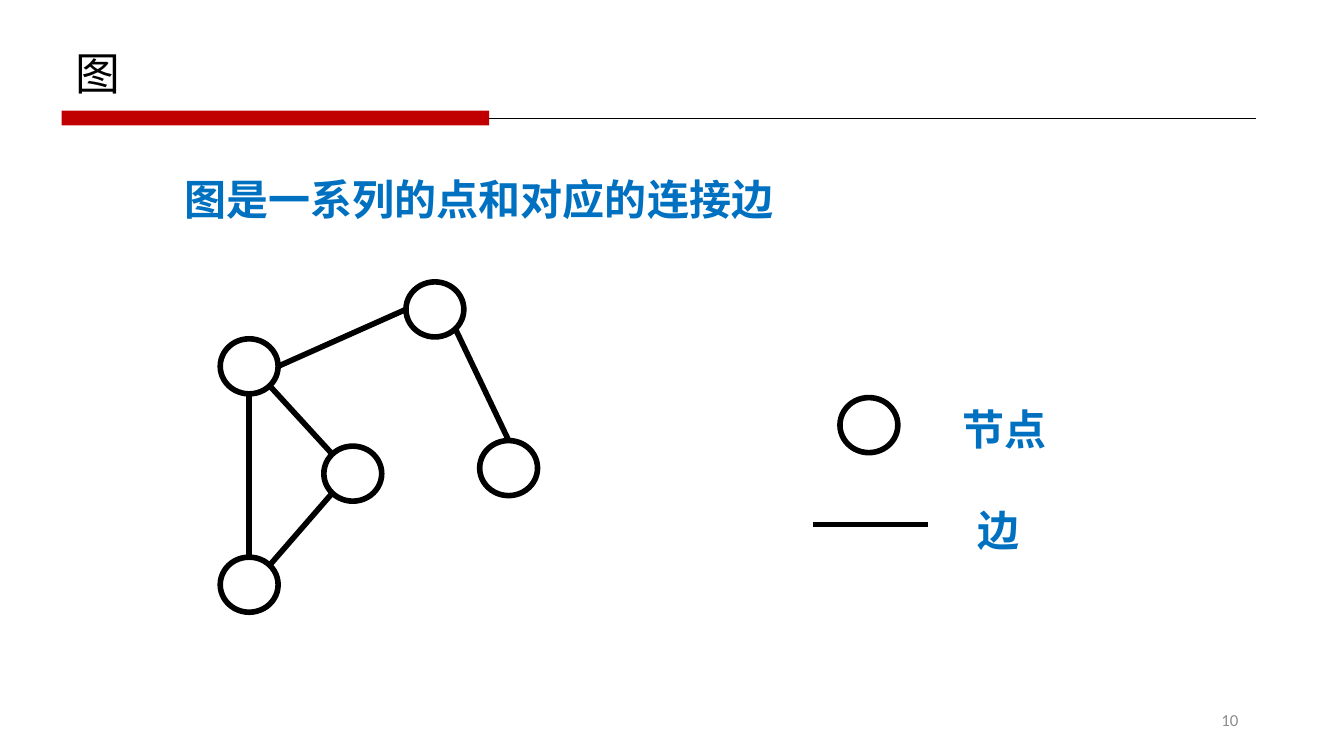
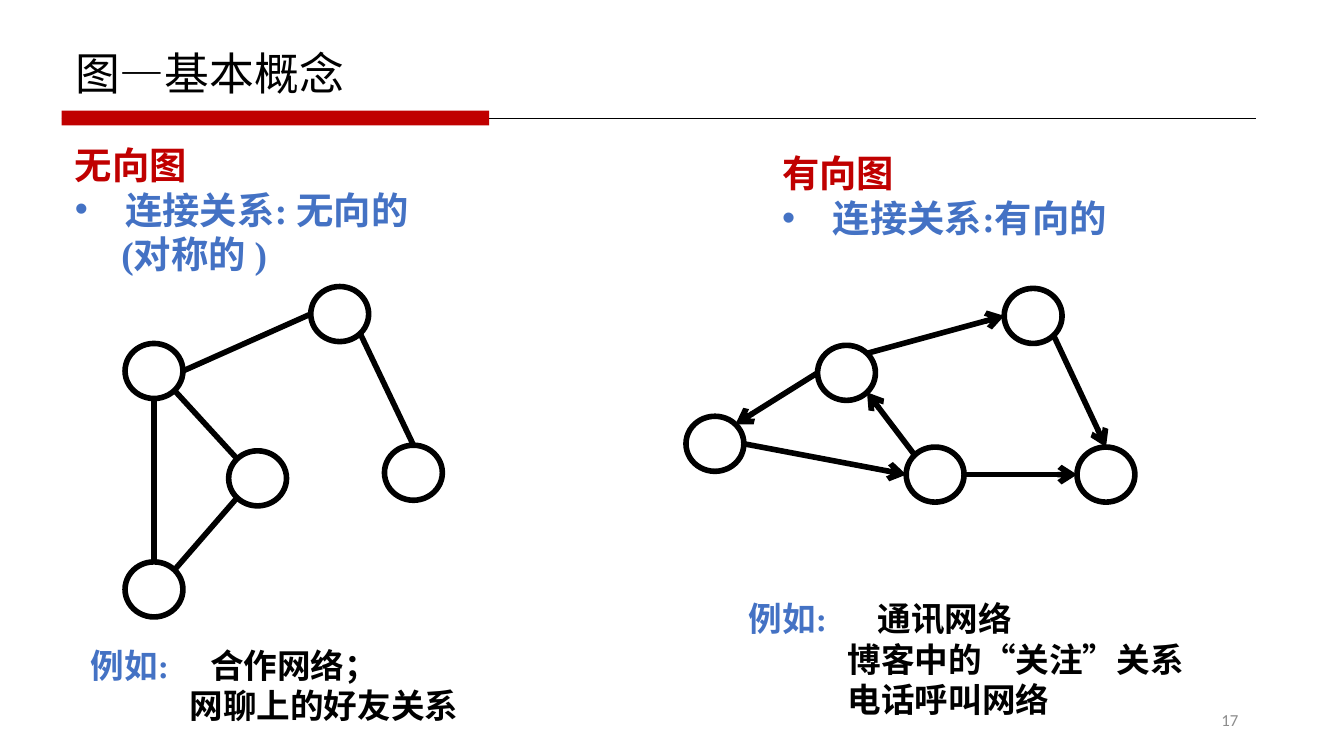
from math import sqrt

from lxml.etree import SubElement
from pptx import Presentation
from pptx.dml.color import RGBColor
from pptx.enum.lang import MSO_LANGUAGE_ID as Language
from pptx.enum.shapes import MSO_CONNECTOR as Connector, MSO_SHAPE as Shape
from pptx.enum.text import MSO_ANCHOR as Anchor, MSO_AUTO_SIZE as AutoSize, PP_ALIGN as Align
from pptx.oxml.ns import qn
from pptx.util import Pt

BLACK = RGBColor(0x00, 0x00, 0x00)
RED = RGBColor(0xC0, 0x00, 0x00)
BLUE = RGBColor(0x00, 0x70, 0xC0)
SOFT_BLUE = RGBColor(0x44, 0x72, 0xC4)
GRAY = RGBColor(0x8C, 0x8C, 0x8C)

BODY_FONT = "Times New Roman"
NODE_WIDTH, NODE_HEIGHT = 31, 29.5
EDGE_WIDTH = 3
BULLET_INDENT = 27

# Where an edge may meet a node, in half-widths and half-heights from its centre
DIAGONAL = 1 / sqrt(2)
SITES = {
    "top": (0, -1), "bottom": (0, 1), "left": (-1, 0), "right": (1, 0),
    "top left": (-DIAGONAL, -DIAGONAL), "top right": (DIAGONAL, -DIAGONAL),
    "bottom left": (-DIAGONAL, DIAGONAL), "bottom right": (DIAGONAL, DIAGONAL),
}

# Node offsets from the hub; edges as (node, site, node, site)
UNDIRECTED = {
    "nodes": {"hub": (0, 0), "peak": (99.5, -30.5), "base": (0, 117),
              "middle": (55.5, 57.5), "end": (139, 54.5)},
    "edges": [
        ("hub", "right", "peak", "left"),
        ("hub", "bottom right", "middle", "top left"),
        ("middle", "bottom left", "base", "top right"),
        ("hub", "bottom", "base", "top"),
        ("peak", "bottom right", "end", "top"),
    ],
    "arrows": False,
}
DIRECTED = {
    "nodes": {"hub": (0, 0), "peak": (100, -30.5), "side": (-70.5, 38),
              "middle": (47.5, 54.5), "end": (139, 54.5)},
    "edges": [
        ("hub", "top right", "peak", "left"),
        ("middle", "top left", "hub", "bottom right"),
        ("side", "right", "middle", "left"),
        ("hub", "left", "side", "top right"),
        ("peak", "bottom right", "end", "top"),
        ("middle", "right", "end", "left"),
    ],
    "arrows": True,
}


def line_of(text, color, **layout):
    return {"spans": [(text, color)], **layout}


def example(first, others, tab):
    """Paragraphs of an example list: a label, a tab and the first item, then the others."""
    label = {"spans": [("例如:\t", SOFT_BLUE), (first, BLACK)], "tab": tab}
    return [label] + [line_of(text, BLACK, indent=53) for text in others]


# Each text: left, top, width, height, size, paragraphs
SLIDES = [
    {
        "title": "图",
        "number": "10",
        "graphs": [(118, 181.5, UNDIRECTED)],
        "legend": {"node": (450, 213), "edge": (435.5, 497, 281)},
        "texts": [
            (91.5, 89.5, 555, 34.5, 22.5, [line_of("图是一系列的点和对应的连接边", BLUE)]),
            (499, 266.5, 71.5, 34.5, 22.5, [line_of("边", BLUE, align=Align.CENTER)]),
            (501, 212.5, 74, 34.5, 22.5, [line_of("节点", BLUE, align=Align.CENTER)]),
        ],
    },
    {
        "title": "图—基本概念",
        "number": "17",
        "graphs": [(67, 184, UNDIRECTED), (438, 185, DIRECTED)],
        "texts": [
            (33, 72.5, 291, 80, 20, [
                line_of("无向图", RED),
                line_of("连接关系: 无向的", SOFT_BLUE, bullet=True),
                line_of("(对称的 )", SOFT_BLUE, indent=25),
            ]),
            (41.5, 342, 291, 51, 18, example("合作网络；", ["网聊上的好友关系"], 64)),
            (412, 77, 291, 80, 20, [
                line_of("有向图", RED),
                line_of("连接关系:有向的", SOFT_BLUE, bullet=True),
            ]),
            (394, 317, 320, 73, 18,
             example("通讯网络", ["博客中的“关注”关系", "电话呼叫网络"], 69)),
        ],
    },
]


def add_span(para, text, size, color, font=BODY_FONT, bold=False):
    span = para.add_run()
    span.text = text
    span.font.name = font
    span.font.size = Pt(size)
    span.font.bold = bold
    span.font.color.rgb = color
    span.font.language_id = Language.SIMPLIFIED_CHINESE


def set_layout(para, content):
    """Apply alignment, indent, bullet and tab stop to a paragraph."""
    para.alignment = content.get("align", Align.LEFT)
    properties = para._p.get_or_add_pPr()
    if "indent" in content:
        properties.set("marL", str(Pt(content["indent"])))
    if content.get("bullet"):
        properties.set("marL", str(Pt(BULLET_INDENT)))
        properties.set("indent", str(Pt(-BULLET_INDENT)))
        SubElement(properties, qn("a:buFont"), typeface="Arial")
        SubElement(properties, qn("a:buChar"), char="•")
    if "tab" in content:
        tabs = SubElement(properties, qn("a:tabLst"))
        SubElement(tabs, qn("a:tab"), pos=str(Pt(content["tab"])), algn="l")


def add_text(page, left, top, width, height, size, paragraphs):
    box = page.shapes.add_textbox(Pt(left), Pt(top), Pt(width), Pt(height))
    frame = box.text_frame
    frame.word_wrap = True
    for index, content in enumerate(paragraphs):
        para = frame.add_paragraph() if index else frame.paragraphs[0]
        set_layout(para, content)
        for text, color in content["spans"]:
            add_span(para, text, size, color, bold=True)


def add_line(page, start, end, width=EDGE_WIDTH, arrow=False):
    ends = [Pt(value) for value in (*start, *end)]
    connector = page.shapes.add_connector(Connector.STRAIGHT, *ends)
    connector.line.color.rgb = BLACK
    connector.line.width = Pt(width)
    properties = connector._element.spPr
    if arrow:
        SubElement(properties.find(qn("a:ln")), qn("a:tailEnd"), type="arrow")
    SubElement(properties, qn("a:effectLst"))


def add_node(page, left, top):
    node = page.shapes.add_shape(
        Shape.OVAL, Pt(left), Pt(top), Pt(NODE_WIDTH), Pt(NODE_HEIGHT))
    node.shadow.inherit = False
    node.fill.background()
    node.line.color.rgb = BLACK
    node.line.width = Pt(EDGE_WIDTH)


def add_graph(page, left, top, graph):
    corners = {name: (left + x, top + y) for name, (x, y) in graph["nodes"].items()}

    def site_point(name, site):
        x, y = corners[name]
        across, down = SITES[site]
        return x + NODE_WIDTH * (1 + across) / 2, y + NODE_HEIGHT * (1 + down) / 2

    for corner in corners.values():
        add_node(page, *corner)
    for source, source_site, target, target_site in graph["edges"]:
        add_line(page, site_point(source, source_site),
                 site_point(target, target_site), arrow=graph["arrows"])


def add_frame(page, title, number):
    """Title, red band with its rule, and page number."""
    heading = page.shapes.title
    heading.left, heading.top, heading.width, heading.height = Pt(33), Pt(21), Pt(400), Pt(36)
    frame = heading.text_frame
    frame.auto_size = AutoSize.NONE
    frame.word_wrap = False
    frame.vertical_anchor = Anchor.TOP
    para = frame.paragraphs[0]
    para.alignment = Align.LEFT
    add_span(para, title, 24, BLACK, font="Arial")

    add_line(page, (33, 63.5), (673, 63.5), width=0.5)
    band = page.shapes.add_shape(Shape.RECTANGLE, Pt(33), Pt(59.25), Pt(229), Pt(8))
    band.shadow.inherit = False
    band.fill.solid()
    band.fill.fore_color.rgb = RED
    band.line.fill.background()

    box = page.shapes.add_textbox(Pt(508.5), Pt(375), Pt(162), Pt(21.5))
    box.text_frame.word_wrap = True
    box.text_frame.vertical_anchor = Anchor.MIDDLE
    para = box.text_frame.paragraphs[0]
    para.alignment = Align.RIGHT
    add_span(para, number, 9, GRAY, font="Calibri")


def main():
    deck = Presentation()
    deck.slide_width, deck.slide_height = Pt(720), Pt(405)
    title_only = deck.slide_layouts[5]
    for content in SLIDES:
        page = deck.slides.add_slide(title_only)
        add_frame(page, content["title"], content["number"])
        for graph in content["graphs"]:
            add_graph(page, *graph)
        if "legend" in content:
            add_node(page, *content["legend"]["node"])
            left, right, level = content["legend"]["edge"]
            add_line(page, (left, level), (right, level))
        for text in content["texts"]:
            add_text(page, *text)
    deck.save("out.pptx")


if __name__ == "__main__":
    main()
